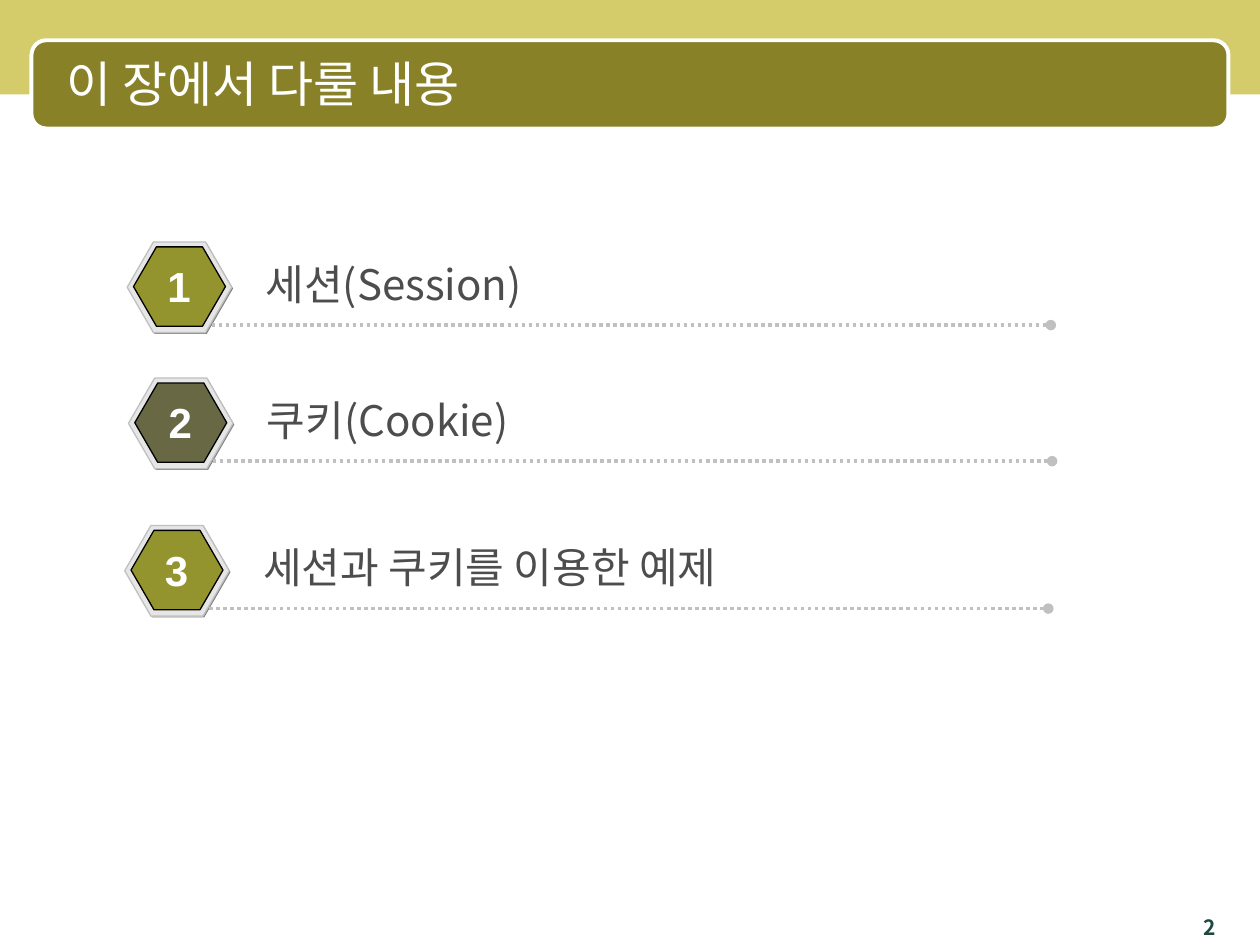
from lxml import etree
from pptx import Presentation
from pptx import util as u
from pptx.dml.color import RGBColor
from pptx.enum import dml, shapes, text
from pptx.oxml.ns import qn

prs = Presentation()
prs.slide_width, prs.slide_height = u.Inches(10), u.Inches(7.5)
COL, ROW = prs.slide_width / 100, prs.slide_height / 75  # 100 x 75 grid
s = prs.slides.add_slide(prs.slide_layouts[6])
KOREAN = "Noto Sans CJK KR"
GRID = (COL, ROW, COL, ROW)
rgb = RGBColor.from_string


def add_shape(kind, box, fill, line=None, width=0.75, adj=None, alpha=None):
    sp = s.shapes.add_shape(kind, *(round(n * g) for n, g in zip(box, GRID)))
    sp.shadow.inherit = False
    sp.fill.solid()
    sp.fill.fore_color.rgb = rgb(fill)
    if adj is not None:
        sp.adjustments[0] = adj
    if alpha is not None:
        clr = sp.fill._xPr.find(qn("a:solidFill"))[0]
        etree.SubElement(clr, qn("a:alpha"), val=str(alpha * 1000))
    if line:
        sp.line.color.rgb = rgb(line)
        sp.line.width = u.Pt(width)
    else:
        sp.line.fill.background()


def add_text(words, box, size=24, color="FFFFFF", font=KOREAN, bold=False,
             align=text.PP_ALIGN.LEFT, anchor=text.MSO_ANCHOR.TOP, wrap=True):
    sp = s.shapes.add_textbox(*(round(n * g) for n, g in zip(box, GRID)))
    tf = sp.text_frame
    tf.word_wrap, tf.vertical_anchor = wrap, anchor
    p = tf.paragraphs[0]
    p.alignment = align
    r = p.add_run()
    r.text = words
    r.font.size, r.font.bold, r.font.name = u.Pt(size), bold, font
    r.font.color.rgb = rgb(color)
    etree.SubElement(r._r.get_or_add_rPr(), qn("a:ea"), typeface=font)
    return p


# Header band, title plate and title
add_shape(shapes.MSO_SHAPE.RECTANGLE, (-0.1, 0, 100.2, 7.5), "D4CC6A")
add_shape(shapes.MSO_SHAPE.ROUNDED_RECTANGLE, (2.5, 3.2, 95, 7), "888128",
          "FFFFFF", 2.25, adj=0.167)
p = add_text("이 장에서 다룰 내용", (3.3, 3.5, 93.3, 6.2), size=28,
             anchor=text.MSO_ANCHOR.MIDDLE)
pPr = p._p.get_or_add_pPr()
pPr.set("marL", str(u.Inches(0.49)))
pPr.set("indent", str(u.Inches(-0.39)))

# Contents: numbered hexagon, dotted rule and topic
topics = [
    (10.1, 19.2, "808000", 80, "세션(Session)"),
    (10.2, 30, "333300", 70, "쿠키(Cookie)"),
    (9.9, 41.7, "808000", 80, "세션과 쿠키를 이용한 예제"),
]
HEX = shapes.MSO_SHAPE.HEXAGON
for number, (x, y, fill, alpha, topic) in enumerate(topics, 1):
    add_shape(HEX, (x + 0.1, y + 0.1, 8.3, 7.2), "808080", adj=0.289)
    add_shape(HEX, (x, y, 8.3, 7.2), "E6E6E6", "C0C0C0", adj=0.289)
    add_shape(HEX, (x + 0.5, y + 0.4, 7.3, 6.3), fill, "000000",
              adj=0.289, alpha=alpha)

    rule_y = round((y + 6.6) * ROW)
    c = s.shapes.add_connector(shapes.MSO_CONNECTOR.STRAIGHT,
                               round((x + 6.7) * COL), rule_y,
                               round((x + 73.3) * COL), rule_y)
    c.line.color.rgb = rgb("C0C0C0")
    c.line.width = u.Pt(2)
    c.line.dash_style = dml.MSO_LINE.ROUND_DOT
    etree.SubElement(c.line._get_or_add_ln(), qn("a:tailEnd"), type="oval")
    etree.SubElement(c._element.spPr, qn("a:effectLst"))

    add_text(topic, (x + 10, y + 0.8, 62.5, 5), color="4D4D4D")
    add_text(str(number), (x + 2.2, y + 1, 3.8, 5), font="Arial", bold=True,
             align=text.PP_ALIGN.CENTER, wrap=False)

# Page number
add_text("2", (88.3, 72.1, 9.2, 2.9), size=12, color="1D4940", bold=True,
         align=text.PP_ALIGN.RIGHT)

prs.save("out.pptx")
